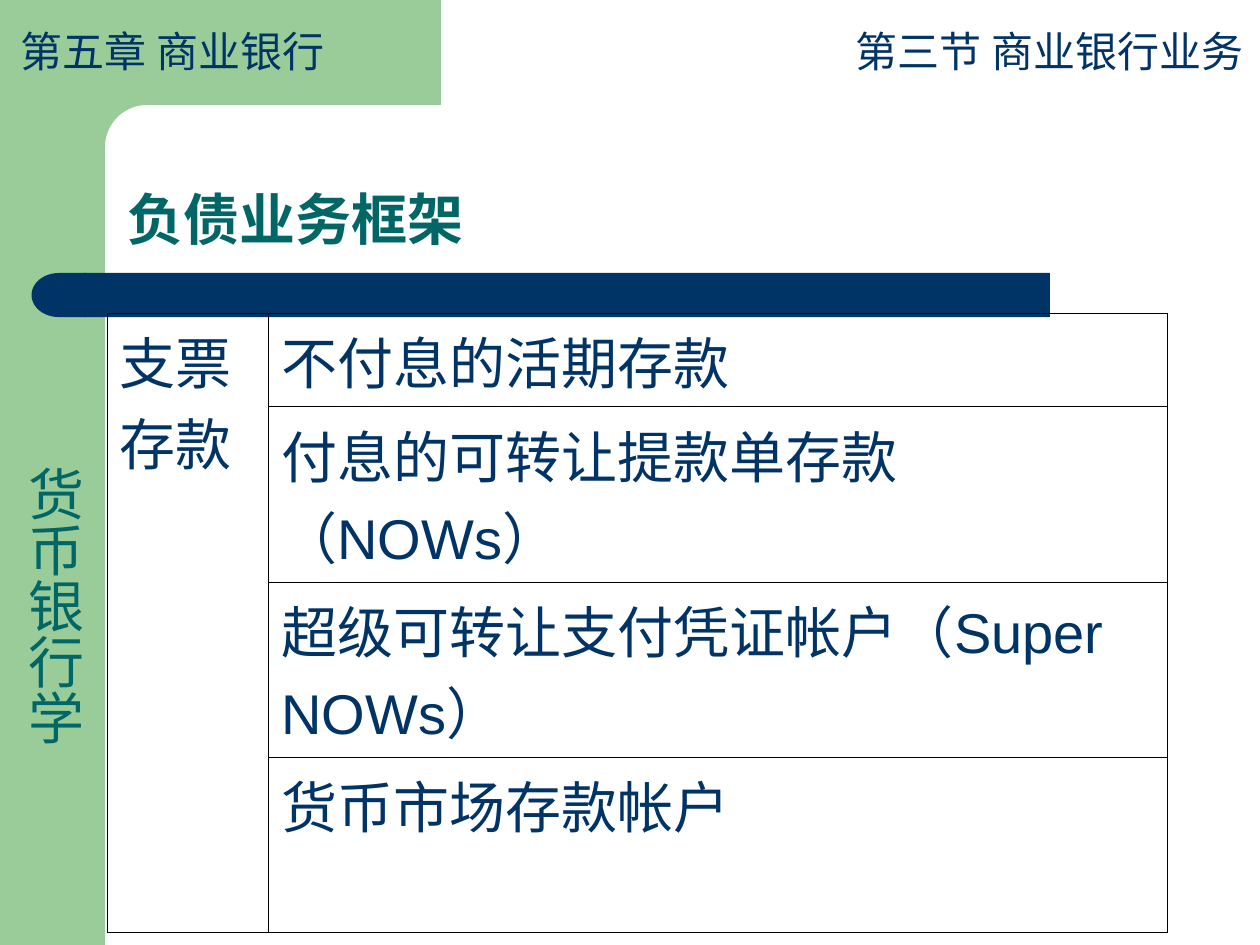
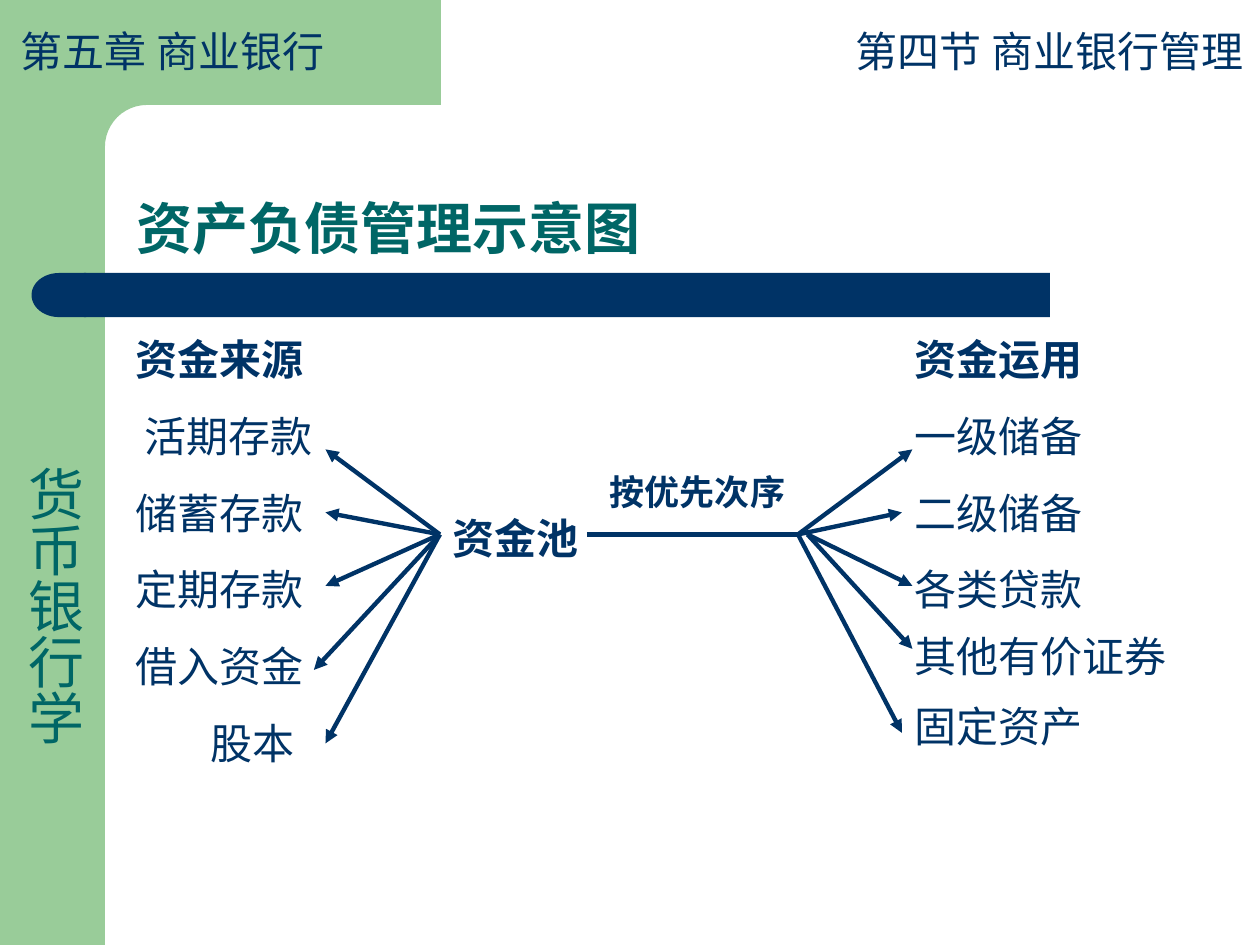
import math
from typing import Any, NamedTuple, Optional, Sequence

import pptx
import pptx.dml.color
import pptx.enum.shapes
import pptx.enum.text
import pptx.oxml
import pptx.oxml.ns
import pptx.util

COLS, ROWS = 12, 9
UNIT = pptx.util.Inches(10) / COLS
GREEN, NAVY, TEAL, BLACK = "99CC99", "003366", "006666", "000000"
CJK = "Noto Sans CJK SC"
TIGHT = 1.2
SHAPE = pptx.enum.shapes.MSO_SHAPE
ALIGN = pptx.enum.text.PP_ALIGN
ANCHOR = pptx.enum.text.MSO_ANCHOR


class Box(NamedTuple):
    """Left, top, width and height in grid units."""
    x: float
    y: float
    w: float
    h: float


class Look(NamedTuple):
    size: float
    face: str = "Arial"
    tint: str = NAVY
    bold: bool = False
    align: Any = ALIGN.LEFT


class Line(NamedTuple):
    """One paragraph: indent in grid units, gap in points, lead in ems."""
    text: str
    look: Look
    indent: float = 0
    gap: float = 0
    lead: Optional[float] = TIGHT


class Band(NamedTuple):
    kind: Any
    box: Box
    tint: str
    turn: float = 0


class Arrow(NamedTuple):
    start: tuple[float, float]
    end: tuple[float, float]
    tip: bool = True


TITLE = Look(32, CJK, TEAL, True)
HEAD = Look(24)
RIGHT = Look(24, align=ALIGN.RIGHT)
SIDE = Look(32, tint=TEAL)
CELL = Look(32)
ITEM = Look(24, "Times New Roman")
STRONG = ITEM._replace(bold=True)
NOTE = STRONG._replace(size=20)

BANDS = (
    Band(SHAPE.RECTANGLE, Box(0, 0, 1, ROWS), GREEN),
    Band(SHAPE.RECTANGLE, Box(0.8, 2.6, 9.2, 0.42), NAVY),
    Band(SHAPE.FLOWCHART_DELAY, Box(0.3, 2.6, 0.52, 0.42), NAVY, 180),
)

DEPOSITS = ("不付息的活期存款", "付息的可转让提款单存款（NOWs）",
            "超级可转让支付凭证帐户（Super NOWs）", "货币市场存款帐户")

SOURCES = (
    Line("资金来源", STRONG, 0.17, 15),
    Line("活期存款", ITEM, 0.26, 15),
    *(Line(text, ITEM, 0.17, 15) for text in ("储蓄存款", "定期存款", "借入资金")),
    Line("股本", ITEM, 0.88, 15),
)
USES = (
    Line("资金运用", STRONG, 0, 15),
    *(Line(text, ITEM, 0, 15) for text in ("一级储备", "二级储备", "各类贷款")),
    Line("其他有价证券", ITEM, 0, 15, 0.97),
    Line("固定资产", ITEM, 0, 15, 1.04),
)

AXIS = 5.09
POOL, FORK, STEP = (4.19, AXIS), (7.6, AXIS), (7.69, AXIS)
ARROWS = (
    Arrow((5.59, AXIS), FORK, False),
    *(Arrow(FORK, end) for end in ((8.69, 4.28), (8.59, 4.88), (8.59, 6.98))),
    *(Arrow(STEP, (8.69, y)) for y in (5.58, 6.18)),
    *(Arrow(POOL, (3.1, y)) for y in (4.28, 4.88, 5.58, 7.08)),
    Arrow(POOL, (2.99, 6.38)),
)


def grid(value: float) -> int:
    return round(value * UNIT)


def rgb(tint: str) -> Any:
    return pptx.dml.color.RGBColor.from_string(tint)


def node(host: Any, tag: str, **attrs: str) -> Any:
    """Append a DrawingML element to host."""
    item = pptx.oxml.parse_xml(f"<a:{tag} {pptx.oxml.ns.nsdecls('a')}/>")
    for name, value in attrs.items():
        item.set(name, value)
    host.append(item)
    return item


def apply(target: Any, values: dict[str, Any]) -> None:
    for name, value in values.items():
        setattr(target, name, value)


def place(shape: Any, box: Box) -> None:
    apply(shape, dict(zip(("left", "top", "width", "height"), map(grid, box))))


def write(frame: Any, lines: Sequence[Line]) -> None:
    for spot, line in enumerate(lines):
        para = frame.paragraphs[0] if spot == 0 else frame.add_paragraph()
        look = line.look
        props = para._p.get_or_add_pPr()
        props.set("marL", str(grid(line.indent)))
        props.set("indent", "0")
        node(props, "buNone")
        apply(para, {
            "alignment": look.align,
            "space_before": pptx.util.Pt(line.gap),
            "line_spacing": pptx.util.Pt(look.size * line.lead) if line.lead else 1.0,
        })
        run = para.add_run()
        run.text = line.text
        apply(run.font, {"size": pptx.util.Pt(look.size), "bold": look.bold,
                         "name": look.face})
        run.font.color.rgb = rgb(look.tint)
        node(run._r.get_or_add_rPr(), "ea", typeface=CJK)


def fill(shape: Any, box: Box, lines: Sequence[Line], anchor: Any = ANCHOR.TOP) -> None:
    """Put text in a placeholder or text box."""
    place(shape, box)
    apply(shape.text_frame, {
        "word_wrap": True,
        "auto_size": pptx.enum.text.MSO_AUTO_SIZE.NONE,
        "vertical_anchor": anchor,
    })
    write(shape.text_frame, lines)


def label(slide: Any, box: Box, line: Line) -> Any:
    shape = slide.shapes.add_textbox(0, 0, 0, 0)
    fill(shape, box, [line])
    return shape


def paint(shape: Any, tint: str) -> None:
    shape.shadow.inherit = False
    shape.fill.solid()
    shape.fill.fore_color.rgb = rgb(tint)
    shape.line.fill.background()


def corner(slide: Any) -> None:
    """Draw the top band with its rounded inner corner."""
    mid, reach = 1.4, 0.4
    turns = (math.radians(90 * k / 12) for k in range(13))
    arc = [(mid - reach * math.sin(t), mid - reach * math.cos(t)) for t in turns]
    edge = [(4.2, 0), (4.2, 1), *arc, (1, 1.54), (0.6, 1.54)]
    pen = slide.shapes.build_freeform(grid(0.6), 0)
    pen.add_line_segments([(grid(x), grid(y)) for x, y in edge])
    paint(pen.convert_to_shape(), GREEN)


def frame(deck: Any, layout: int, title: str, box: Box, part: str) -> Any:
    """Add a slide with the shared bands, title and running heads."""
    slide = deck.slides.add_slide(deck.slide_layouts[layout])
    for band in BANDS:
        shape = slide.shapes.add_shape(band.kind, 0, 0, 0, 0)
        place(shape, band.box)
        shape.rotation = band.turn
        paint(shape, band.tint)
    corner(slide)
    fill(slide.shapes.title, box, [Line(title, TITLE)], ANCHOR.BOTTOM)
    side = label(slide, Box(0.02, 4.32, 0.88, 4.68), Line("货币银行学", SIDE))
    side.text_frame._txBody.bodyPr.set("vert", "eaVert")
    slim, wide = pptx.util.Inches(0.05), pptx.util.Inches(0.1)
    apply(side.text_frame, {"margin_left": slim, "margin_right": slim,
                            "margin_top": wide, "margin_bottom": wide})
    label(slide, Box(0.08, 0.18, 4.12, 0.6), Line("第五章 商业银行", HEAD))
    label(slide, Box(4.78, 0.18, 7.18, 0.6), Line(part, RIGHT))
    return slide


def border(cell: Any) -> None:
    props = cell._tc.get_or_add_tcPr()
    for spot, tag in enumerate(("lnL", "lnR", "lnT", "lnB")):
        edge = node(props, tag, w=str(pptx.util.Pt(0.45)))
        node(node(edge, "solidFill"), "srgbClr", val=BLACK)
        props.remove(edge)
        props.insert(spot, edge)


def chart(slide: Any) -> None:
    """Add the table of cheque deposits."""
    wide, high = (1.54, 8.56), (0.89, 1.67, 1.67, 1.67)
    box = Box(1.02, 2.98, sum(wide), sum(high))
    table = slide.shapes.add_table(len(high), len(wide), *map(grid, box)).table
    apply(table, {"first_row": False, "horz_banding": False})
    for col, size in zip(table.columns, wide):
        col.width = grid(size)
    for row, size in zip(table.rows, high):
        row.height = grid(size)
    for cell in table.iter_cells():
        cell.fill.background()
        border(cell)
    table.cell(0, 0).merge(table.cell(len(high) - 1, 0))
    write(table.cell(0, 0).text_frame, [Line("支票存款", CELL, gap=8, lead=None)])
    for spot, text in enumerate(DEPOSITS):
        write(table.cell(spot, 1).text_frame, [Line(text, CELL, gap=8, lead=None)])


def link(slide: Any, arrow: Arrow) -> None:
    ends = map(grid, (*arrow.start, *arrow.end))
    line = slide.shapes.add_connector(pptx.enum.shapes.MSO_CONNECTOR.STRAIGHT, *ends)
    line.line.color.rgb = rgb(NAVY)
    line.line.width = pptx.util.Pt(2.5)
    if arrow.tip:
        node(line.line._get_or_add_ln(), "tailEnd", type="triangle")
    node(line._element.spPr, "effectLst")


def flow(slide: Any) -> None:
    """Fill in the fund sources, the pool and the fund uses."""
    fill(slide.placeholders[1], Box(1, 3.12, 2.6, 4.25), SOURCES)
    fill(slide.placeholders[2], Box(8.59, 3.12, 2.8, 4.1), USES)
    for arrow in ARROWS:
        link(slide, arrow)
    label(slide, Box(4.19, 4.82, 1.6, 0.6), Line("资金池", STRONG))
    label(slide, Box(5.69, 4.42, 2.2, 0.53), Line("按优先次序", NOTE))


def main() -> None:
    deck = pptx.Presentation()
    apply(deck, {"slide_width": grid(COLS), "slide_height": grid(ROWS)})
    chart(frame(deck, 5, "负债业务框架", Box(1.09, 1.15, 10.21, 1.31),
                "第三节 商业银行业务"))
    flow(frame(deck, 3, "资产负债管理示意图", Box(1.18, 1.75, 7.66, 0.79),
               "第四节 商业银行管理"))
    deck.save("out.pptx")


if __name__ == "__main__":
    main()
